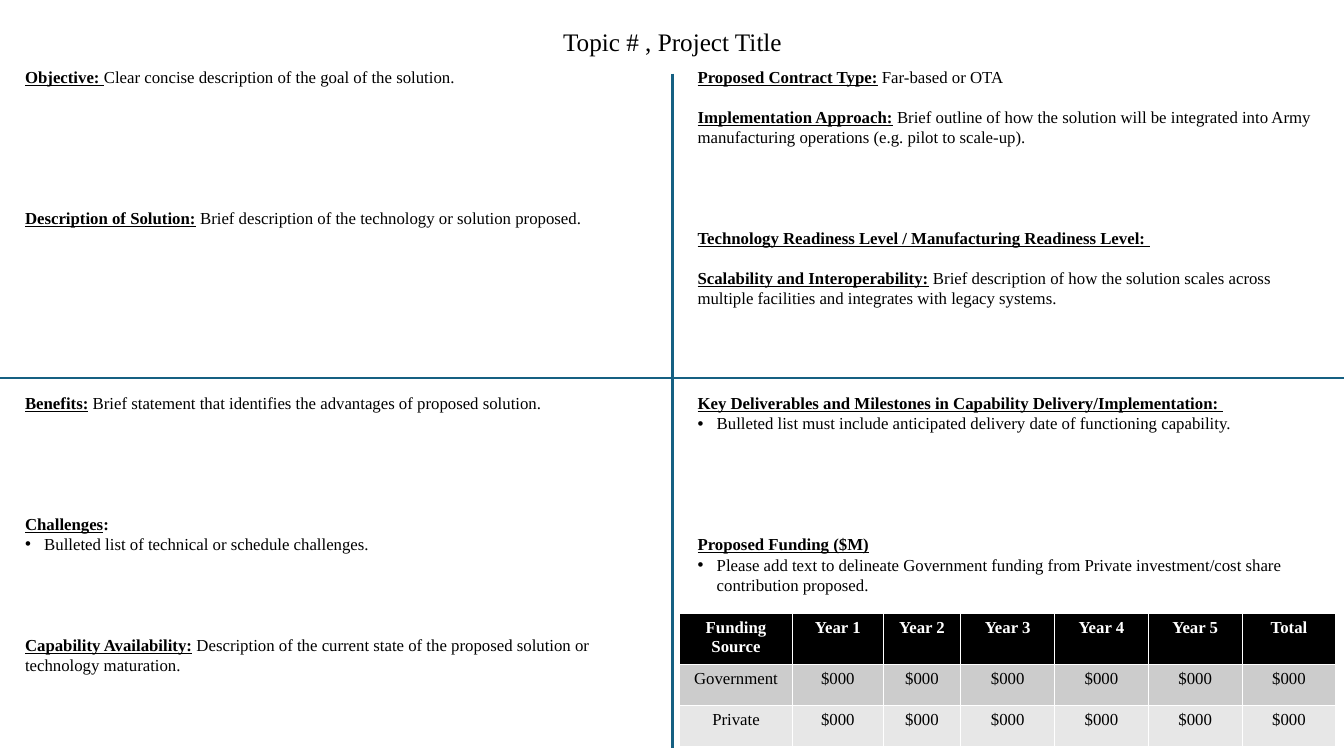
from lxml.etree import SubElement
from pptx import Presentation
from pptx.dml.color import RGBColor
from pptx.enum.shapes import MSO_CONNECTOR
from pptx.enum.text import MSO_ANCHOR, PP_ALIGN
from pptx.oxml.ns import qn
from pptx.util import Inches, Pt

BLACK = RGBColor(0x00, 0x00, 0x00)
WHITE = RGBColor(0xFF, 0xFF, 0xFF)
BLUE = RGBColor(0x15, 0x60, 0x82)
GRAY = RGBColor(0xCC, 0xCC, 0xCC)
PALE = RGBColor(0xE7, 0xE7, 0xE7)
FONT = "Times New Roman"
PITCH = 14.4  # line height in points

# Each quadrant: left, top, width, height, then its entries as
# (blank lines above, underlined label, plain text, bullet below the label)
QUADS = [
    (0.15, 0.61, 6.52, 1.72, [
        (0, "Objective: ", "Clear concise description of the goal of the solution.", ""),
        (6, "Description of Solution:",
         " Brief description of the technology or solution proposed.", ""),
    ]),
    (0.15, 3.85, 6.52, 2.93, [
        (0, "Benefits:",
         " Brief statement that identifies the advantages of proposed solution.", ""),
        (5, "Challenges", ":", "Bulleted list of technical or schedule challenges."),
        (4, "Capability Availability:",
         " Description of the current state of the proposed solution or "
         "technology maturation.", ""),
    ]),
    (6.82, 0.61, 6.45, 2.52, [
        (0, "Proposed Contract Type:", " Far-based or OTA", ""),
        (1, "Implementation Approach:",
         " Brief outline of how the solution will be integrated into Army "
         "manufacturing operations (e.g. pilot to scale-up).", ""),
        (4, "Technology Readiness Level / Manufacturing Readiness Level: ", "", ""),
        (1, "Scalability and Interoperability:",
         " Brief description of how the solution scales across multiple "
         "facilities and integrates with legacy systems.", ""),
    ]),
    (6.82, 3.85, 6.43, 2.32, [
        (0, "Key Deliverables and Milestones in Capability Delivery/Implementation: ", "",
         "Bulleted list must include anticipated delivery date of functioning capability."),
        (5, "Proposed Funding ($M)", "",
         "Please add text to delineate Government funding from Private "
         "investment/cost share contribution proposed."),
    ]),
]

COLS = [1.12, 0.9, 0.77, 0.93, 0.93, 0.93, 0.93]
ROWS = [
    (0.49, BLACK, ["Funding Source", *(f"Year {n}" for n in range(1, 6)), "Total"]),
    (0.41, GRAY, ["Government"] + ["$000"] * 6),
    (0.41, PALE, ["Private"] + ["$000"] * 6),
]


def set_font(font, size=12, color=BLACK, bold=False):
    font.name = FONT
    font.size = Pt(size)
    font.color.rgb = color
    font.bold = bold


def add_title(slide, text):
    title = slide.shapes.title
    title.left, title.top = Inches(5.47), Inches(0.21)
    title.width, title.height = Inches(2.4), Inches(0.4)
    frame = title.text_frame
    frame.text = text
    frame.word_wrap = False
    frame.vertical_anchor = MSO_ANCHOR.TOP
    para = frame.paragraphs[0]
    para.alignment = PP_ALIGN.CENTER
    para.line_spacing = 1.0
    set_font(para.font, 18)


def add_rule(slide, *ends):
    line = slide.shapes.add_connector(MSO_CONNECTOR.STRAIGHT, *map(Inches, ends))
    line.line.color.rgb = BLUE
    line.line.width = Pt(1.5)
    SubElement(line._element.spPr, qn("a:effectLst"))


def add_bullet(para):
    props = para._p.get_or_add_pPr()
    props.set("marL", str(Inches(0.19)))
    props.set("indent", str(-Inches(0.19)))
    SubElement(props, qn("a:buFont"), typeface="Arial")
    SubElement(props, qn("a:buChar"), char="•")


def add_entry(frame, first, gap, label, text, bullet):
    para = frame.paragraphs[0] if first else frame.add_paragraph()
    para.line_spacing = Pt(PITCH)
    if gap:
        para.space_before = Pt(gap * PITCH)
    run = para.add_run()
    run.text = label
    set_font(run.font, bold=True)
    run.font.underline = True
    if text:
        run = para.add_run()
        run.text = text
        set_font(run.font, bold=text == ":")
    if bullet:
        item = frame.add_paragraph()
        item.text = bullet
        item.line_spacing = Pt(PITCH)
        add_bullet(item)
        set_font(item.font)


def add_quad(slide, left, top, width, height, entries):
    box = slide.shapes.add_textbox(*map(Inches, (left, top, width, height)))
    box.text_frame.word_wrap = True
    for index, entry in enumerate(entries):
        add_entry(box.text_frame, index == 0, *entry)


def add_funds(slide):
    height = sum(row[0] for row in ROWS)
    table = slide.shapes.add_table(
        len(ROWS), len(COLS), Inches(6.74), Inches(6.09),
        Inches(sum(COLS)), Inches(height)).table
    for col, width in zip(table.columns, COLS):
        col.width = Inches(width)
    for r, (tall, fill, texts) in enumerate(ROWS):
        table.rows[r].height = Inches(tall)
        for c, text in enumerate(texts):
            cell = table.cell(r, c)
            cell.fill.solid()
            cell.fill.fore_color.rgb = fill
            cell.text = text
            para = cell.text_frame.paragraphs[0]
            para.alignment = PP_ALIGN.CENTER
            set_font(para.font, color=BLACK if r else WHITE, bold=r == 0)


def main():
    deck = Presentation()
    deck.slide_width, deck.slide_height = Inches(13.33), Inches(7.5)
    slide = deck.slides.add_slide(deck.slide_layouts[5])

    # Cross that splits the slide into quadrants
    add_rule(slide, 6.67, 0.73, 6.67, 7.42)
    add_rule(slide, 0, 3.75, 13.33, 3.75)

    # Title, quadrant text and funding table
    add_title(slide, "Topic # , Project Title")
    for quad in QUADS:
        add_quad(slide, *quad)
    add_funds(slide)
    deck.save("out.pptx")


if __name__ == "__main__":
    main()
